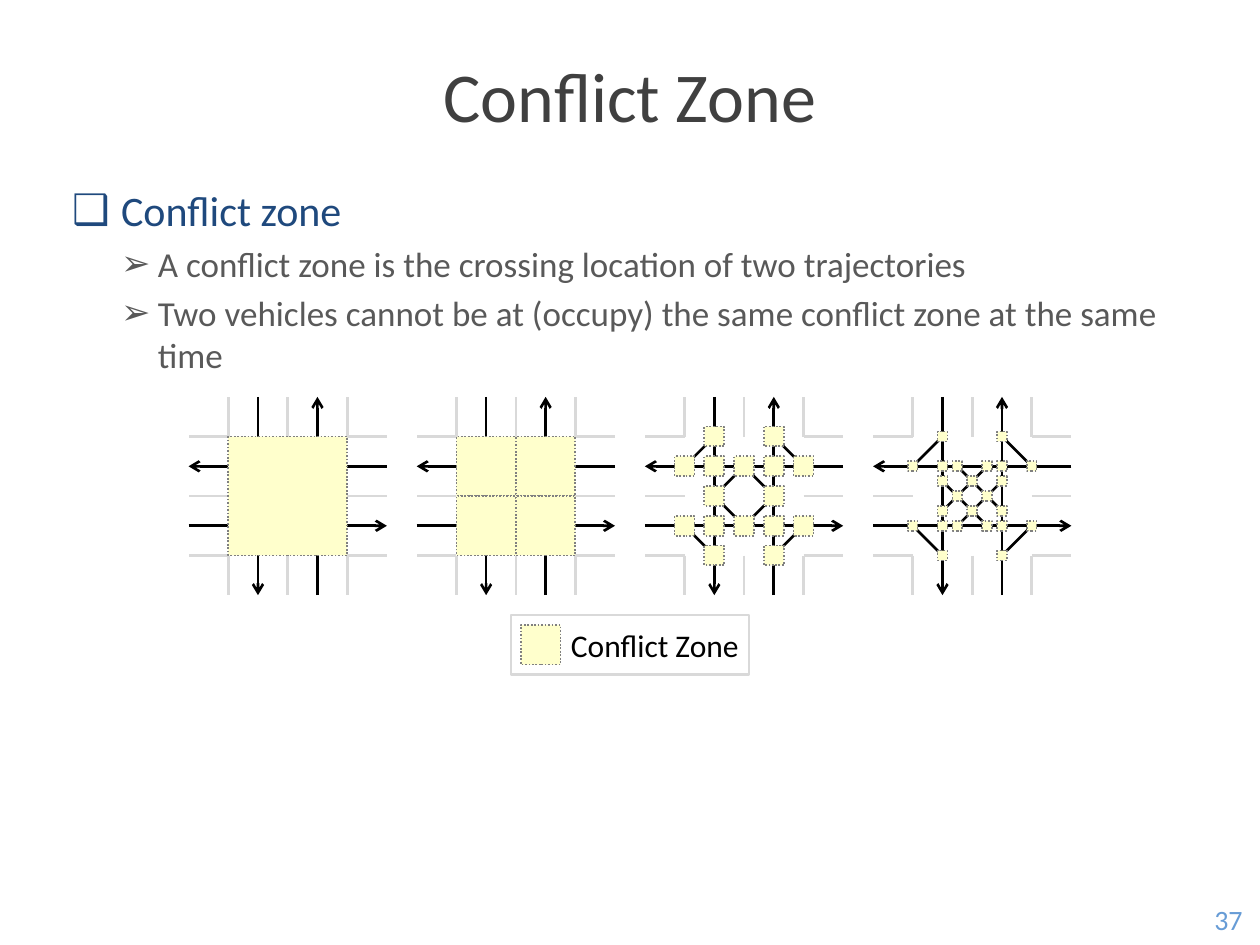
from dataclasses import dataclass
from itertools import product

import lxml.etree
import pptx
import pptx.dml.color
import pptx.enum.dml
import pptx.enum.shapes
import pptx.enum.text
import pptx.oxml.ns
import pptx.shapes.autoshape
import pptx.shapes.connector
import pptx.shapes.group
import pptx.util

Pt = pptx.util.Pt
qn = pptx.oxml.ns.qn
Point = tuple[float, float]

COLORS = {
    "title": "404040", "heading": "1F497D", "detail": "595959", "page": "679CD6",
    "road": "D9D9D9", "route": "000000", "zone": "FFFFCC", "zone_edge": "808080",
}
FONT = "Calibri"

# Intersections are laid out in quarters of a lane, measured from their centre.
QUARTER = 8.5
ROAD_EDGE = 4
LANE = 2
REACH = 20 / 3
FIRST_CENTER = (164.41, 283.46)
PITCH = 130.39
SIGNS = list(product((-1, 1), repeat=2))


@dataclass
class Bullet:
    text: str
    character: str
    level: int
    size: int
    color: str
    left: float
    hanging: float
    space_before: float


@dataclass
class Intersection:
    zone_size: float
    zones: list[Point]
    turns: list[tuple[Point, Point]]


def mirrored(*points: Point) -> list[Point]:
    """Reflect the points in both axes, each result once."""
    return list(dict.fromkeys((x * a, y * b) for x, y in points for a, b in SIGNS))


RIGHT_TURNS = [((2 * a, 4 * b), (4 * a, 2 * b)) for a, b in SIGNS]
INTERSECTIONS = [
    Intersection(8, [(0, 0)], []),
    Intersection(4, mirrored((2, 2)), []),
    Intersection(4 / 3, mirrored((2, 4), (4, 2), (2, 2), (0, 2), (2, 0)),
                 RIGHT_TURNS + [((2 * a, 0), (0, 2 * b)) for a, b in SIGNS]),
    Intersection(2 / 3, mirrored((2, 4), (4, 2), (2, 2), (1, 2), (2, 1), (0, 1), (1, 0)),
                 RIGHT_TURNS + [((2 * a, b), (-a, -2 * b)) for a, b in SIGNS]),
]
BULLETS = [
    Bullet("Conflict zone", "❑", 0, 24, "heading", 28, 28, 0),
    Bullet("A conflict zone is the crossing location of two trajectories",
           "➢", 1, 20, "detail", 49, 21, 4),
    Bullet("Two vehicles cannot be at (occupy) the same conflict zone at the same time",
           "➢", 1, 20, "detail", 49, 21, 4),
]


def rgb(name: str) -> pptx.dml.color.RGBColor:
    return pptx.dml.color.RGBColor.from_string(COLORS[name])


def place(shape, left: float, top: float, width: float, height: float) -> None:
    shape.left, shape.top, shape.width, shape.height = map(Pt, (left, top, width, height))


def format_runs(paragraph, size: float, color: str) -> None:
    for run in paragraph.runs:
        run.font.name = FONT
        run.font.size = Pt(size)
        run.font.color.rgb = rgb(color)


def fill_label(shape, text: str, size: float, color: str) -> None:
    """Write one centred line in the middle of the shape."""
    text_frame = shape.text_frame
    text_frame.text = text
    text_frame.word_wrap = True
    text_frame.vertical_anchor = pptx.enum.text.MSO_ANCHOR.MIDDLE
    paragraph = text_frame.paragraphs[0]
    paragraph.alignment = pptx.enum.text.PP_ALIGN.CENTER
    format_runs(paragraph, size, color)


def fill_bullets(placeholder, bullets: list[Bullet]) -> None:
    text_frame = placeholder.text_frame
    text_frame.text = "\n".join(bullet.text for bullet in bullets)
    text_frame.auto_size = pptx.enum.text.MSO_AUTO_SIZE.NONE
    for paragraph, bullet in zip(text_frame.paragraphs, bullets):
        paragraph.level = bullet.level
        properties = paragraph._p.get_or_add_pPr()
        properties.set("marL", str(Pt(bullet.left)))
        properties.set("indent", str(-Pt(bullet.hanging)))
        lxml.etree.SubElement(properties, qn("a:buChar"), char=bullet.character)
        paragraph.space_before = Pt(bullet.space_before)
        format_runs(paragraph, bullet.size, bullet.color)


def draw_line(group: pptx.shapes.group.GroupShape, center: Point, start: Point, end: Point,
              color: str, arrow: bool = False) -> pptx.shapes.connector.Connector:
    ends = [Pt(middle + offset * QUARTER)
            for point in (start, end) for middle, offset in zip(center, point)]
    connector = group.shapes.add_connector(pptx.enum.shapes.MSO_CONNECTOR.STRAIGHT, *ends)
    connector.line.color.rgb = rgb(color)
    connector.line.width = Pt(1.5)
    properties = connector.element.spPr
    if arrow:
        lxml.etree.SubElement(properties.find(qn("a:ln")), qn("a:tailEnd"), type="arrow")
    lxml.etree.SubElement(properties, qn("a:effectLst"))
    return connector


def draw_rectangle(group: pptx.shapes.group.GroupShape, left: float, top: float, width: float,
                   height: float) -> pptx.shapes.autoshape.Shape:
    rectangle = group.shapes.add_shape(pptx.enum.shapes.MSO_SHAPE.RECTANGLE,
                                       *map(Pt, (left, top, width, height)))
    rectangle.shadow.inherit = False
    return rectangle


def draw_zone(group: pptx.shapes.group.GroupShape, center: Point,
              size: float) -> pptx.shapes.autoshape.Shape:
    zone = draw_rectangle(group, center[0] - size / 2, center[1] - size / 2, size, size)
    zone.fill.solid()
    zone.fill.fore_color.rgb = rgb("zone")
    zone.line.color.rgb = rgb("zone_edge")
    zone.line.width = Pt(1)
    zone.line.dash_style = pptx.enum.dml.MSO_LINE.ROUND_DOT
    return zone


def draw_intersection(group: pptx.shapes.group.GroupShape, center: Point,
                      intersection: Intersection) -> None:
    middle_lines = []  # top, left, bottom, right, like the sides of a rectangle
    for side, offset in product((-1, 1), (-ROAD_EDGE, 0, ROAD_EDGE)):
        near, far = side * ROAD_EDGE, side * REACH
        pair = [draw_line(group, center, (offset, near), (offset, far), "road"),
                draw_line(group, center, (near, offset), (far, offset), "road")]
        if offset == 0:
            middle_lines += pair
    for side in (-1, 1):
        lane, far = side * LANE, side * REACH
        draw_line(group, center, (lane, far), (lane, -far), "route", arrow=True)
        draw_line(group, center, (-far, lane), (far, lane), "route", arrow=True)
    for start, end in intersection.turns:
        draw_line(group, center, start, end, "route")
    for x, y in intersection.zones:
        zone = draw_zone(group, (center[0] + x * QUARTER, center[1] + y * QUARTER),
                         intersection.zone_size * QUARTER)
        if intersection.zone_size == 2 * ROAD_EDGE:
            for side, line in enumerate(middle_lines):
                line.begin_connect(zone, side)


def draw_legend(group: pptx.shapes.group.GroupShape) -> None:
    draw_zone(group, (308.98, 368.5), 22.68)
    label = group.shapes.add_textbox(*map(Pt, (326, 357.17, 96.4, 22.68)))
    fill_label(label, "Conflict Zone", 18, "route")
    text_frame = label.text_frame
    text_frame.margin_left = text_frame.margin_right = 0
    text_frame.margin_top = text_frame.margin_bottom = 0
    frame = draw_rectangle(group, 291.97, 351.5, 136.06, 34.02)
    frame.fill.background()
    frame.line.color.rgb = rgb("road")
    frame.line.width = Pt(1.5)


def main() -> None:
    presentation = pptx.Presentation()
    presentation.slide_width, presentation.slide_height = Pt(720), Pt(540)
    slide = presentation.slides.add_slide(presentation.slide_layouts[1])
    title, body = slide.placeholders
    place(title, 34, 20, 652, 68)
    fill_label(title, "Conflict Zone", 40, "title")
    place(body, 34, 102, 652, 408)
    fill_bullets(body, BULLETS)
    page_number = slide.shapes.add_textbox(*map(Pt, (684, 511.2, 36, 28.8)))
    fill_label(page_number, "37", 16, "page")
    for column, intersection in enumerate(INTERSECTIONS):
        center = (FIRST_CENTER[0] + column * PITCH, FIRST_CENTER[1])
        draw_intersection(slide.shapes.add_group_shape(), center, intersection)
    draw_legend(slide.shapes.add_group_shape())
    presentation.save("out.pptx")


if __name__ == "__main__":
    main()
